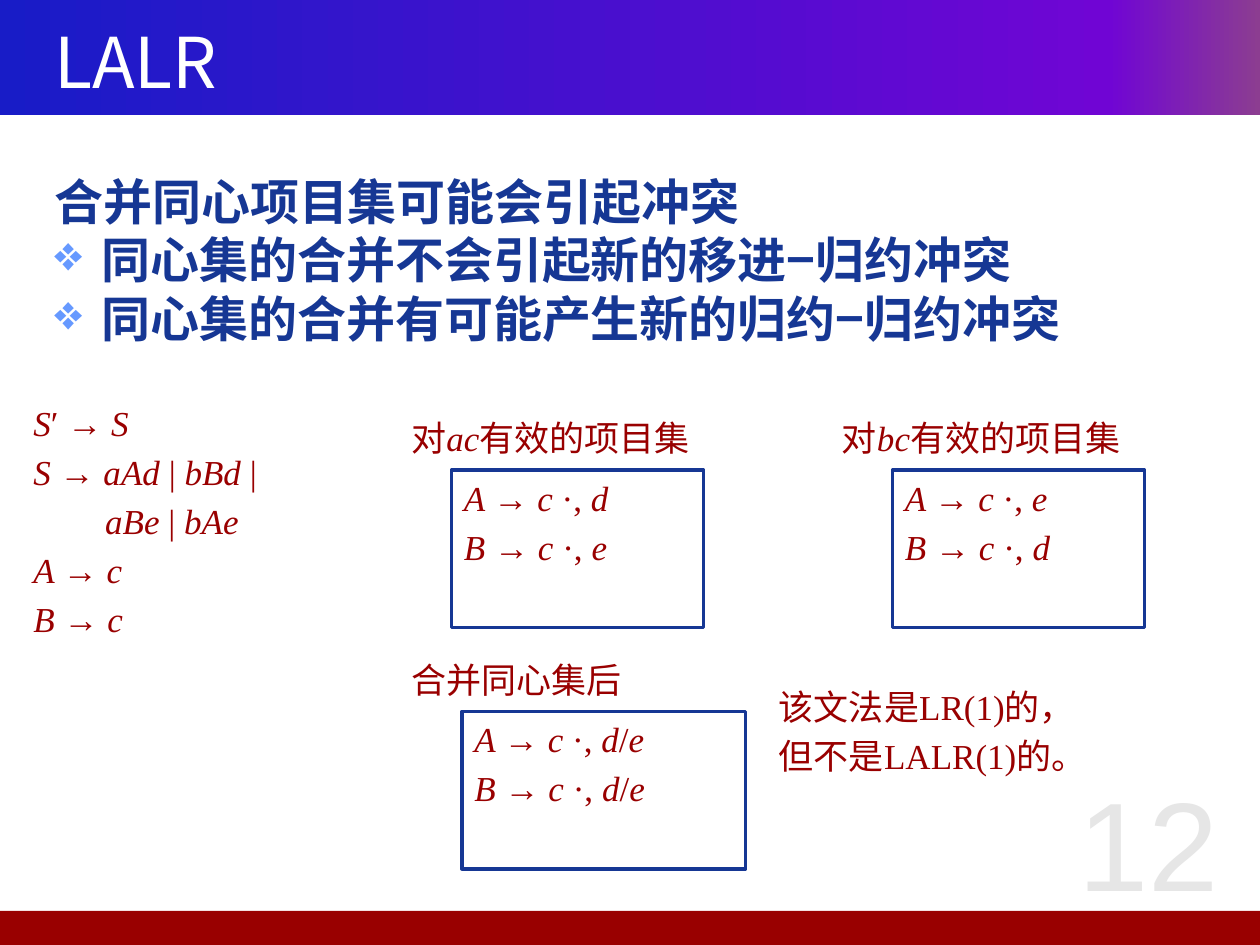
from copy import deepcopy
from dataclasses import dataclass
from typing import Optional

from lxml import etree
from pptx import Presentation
from pptx import util as u
from pptx.dml.color import RGBColor
from pptx.enum import shapes, text
from pptx.oxml import ns

WHITE = RGBColor(0xFF, 0xFF, 0xFF)
NAVY = RGBColor(0x16, 0x37, 0x94)
RED = RGBColor(0x99, 0x00, 0x00)
GREY = RGBColor(0xE6, 0xE6, 0xE6)
BANNER_STOPS = [
    (0, RGBColor(0x18, 0x1C, 0xC7)),
    (0.88, RGBColor(0x70, 0x05, 0xD4)),
    (1, RGBColor(0x8C, 0x3D, 0x91)),
]
BULLET_COLOR = "6699FF"

SANS_CJK = "Noto Sans CJK SC"
SERIF = "Times New Roman"
MONO = "Courier New"
ARIAL = "Arial"


@dataclass(frozen=True)
class Area:
    left: float
    top: float
    width: float
    height: float

    def lengths(self) -> list[u.Pt]:
        return [u.Pt(v) for v in (self.left, self.top, self.width, self.height)]


@dataclass(frozen=True)
class Run:
    words: str
    font: str = SERIF
    italic: bool = False


@dataclass(frozen=True)
class Style:
    size: float
    color: RGBColor
    bold: bool = False
    line: Optional[float] = None
    before: float = 0
    align: text.PP_ALIGN = text.PP_ALIGN.LEFT
    anchor: text.MSO_ANCHOR = text.MSO_ANCHOR.TOP


@dataclass(frozen=True)
class ItemSet:
    label: list[Run]
    label_area: Area
    items: list[list[Run]]
    box_area: Area


TITLE = Style(40, WHITE, anchor=text.MSO_ANCHOR.MIDDLE)
BODY = Style(28, NAVY, bold=True, line=33.4)
NUMBER = Style(72, GREY, align=text.PP_ALIGN.CENTER)
NOTE = Style(20, RED, line=24, before=4)
GRAMMAR = Style(20, RED, line=24, before=4, align=text.PP_ALIGN.JUSTIFY)
LABEL = Style(20, RED, line=24, anchor=text.MSO_ANCHOR.MIDDLE)


def production(*parts: str) -> list[Run]:
    """Alternate italic symbols with upright operators."""
    return [Run(part, italic=i % 2 == 0) for i, part in enumerate(parts)]


def item(head: str, *lookahead: str) -> list[Run]:
    """An LR(1) item with its dot at the end."""
    return production(f"{head} ", "→ ", "c ", "·, ", *lookahead)


def valid_for(prefix: str) -> list[Run]:
    return [Run("对", MONO), Run(prefix, italic=True), Run("有效的项目集", ARIAL)]


GRAMMAR_LINES = [
    production("S", "′ →", " S"),
    production("S ", "→", " aAd ", "|", " bBd ", "|"),
    production("\t aBe", " |", " bAe"),
    production("A ", "→", " c "),
    production("B ", "→", " c"),
]
ITEM_SETS = [
    ItemSet(valid_for("ac"), Area(228, 226, 234, 48),
            [item("A", "d"), item("B", "e")], Area(258, 268.5, 144, 90)),
    ItemSet(valid_for("bc"), Area(474, 226, 234, 48),
            [item("A", "e"), item("B", "d")], Area(510, 268.5, 144, 90)),
    ItemSet([Run("合并同心", MONO), Run("集后", ARIAL)], Area(228, 364, 234, 48),
            [item("A", "d", "/", "e"), item("B", "d", "/", "e")],
            Area(264, 406.5, 162, 90)),
]
CONCLUSION = [
    [Run("该文法是", MONO), Run("LR(1)"), Run("的，", MONO)],
    [Run("但不是", MONO), Run("LALR(1)"), Run("的。", MONO)],
]
STATEMENTS = [
    "合并同心项目集可能会引起冲突",
    "同心集的合并不会引起新的移进−归约冲突",
    "同心集的合并有可能产生新的归约−归约冲突",
]


def write(shape, lines: list[list[Run]], style: Style) -> None:
    frame = shape.text_frame
    frame.word_wrap = True
    frame.vertical_anchor = style.anchor
    for index, line in enumerate(lines):
        paragraph = frame.paragraphs[0] if index == 0 else frame.add_paragraph()
        paragraph.alignment = style.align
        if style.line:
            paragraph.line_spacing = u.Pt(style.line)
        paragraph.space_before = u.Pt(style.before if index else 0)
        for part in line:
            run = paragraph.add_run()
            run.text = part.words
            run.font.size = u.Pt(style.size)
            run.font.bold = style.bold
            run.font.italic = part.italic
            run.font.color.rgb = style.color
            run.font.name = part.font
            if part.font != SERIF:
                properties = run.font._element
                etree.SubElement(properties, ns.qn("a:ea"), typeface=SANS_CJK)


def add_text(slide, area: Area, lines: list[list[Run]], style: Style):
    box = slide.shapes.add_textbox(*area.lengths())
    write(box, lines, style)
    return box


def add_rectangle(slide, area: Area):
    shape = slide.shapes.add_shape(shapes.MSO_SHAPE.RECTANGLE, *area.lengths())
    shape.shadow.inherit = False
    return shape


def add_banner(slide) -> None:
    banner = add_rectangle(slide, Area(0, 0, 720, 65.5))
    banner.line.fill.background()
    banner.fill.gradient()
    banner.fill.gradient_angle = 0
    stop_list = next(banner._element.iter(ns.qn("a:gsLst")))
    stop_list.append(deepcopy(stop_list[0]))
    for stop, (position, color) in zip(banner.fill.gradient_stops, BANNER_STOPS):
        stop.position = position
        stop.color.rgb = color


def add_footer(slide) -> None:
    footer = add_rectangle(slide, Area(-3, 520.5, 723, 19.5))
    footer.fill.solid()
    footer.fill.fore_color.rgb = RED
    footer.line.fill.background()


def add_statements(slide) -> None:
    """The heading statement, then its bulleted points, all hanging."""
    lines = [[Run(words, SANS_CJK)] for words in STATEMENTS]
    box = add_text(slide, Area(24, 94.5, 672, 126), lines, BODY)
    for index, paragraph in enumerate(box.text_frame.paragraphs):
        properties = paragraph._p.get_or_add_pPr()
        properties.set("marL", str(u.Pt(27)))
        properties.set("indent", str(-u.Pt(27)))
        if index:
            color = etree.SubElement(properties, ns.qn("a:buClr"))
            etree.SubElement(color, ns.qn("a:srgbClr"), val=BULLET_COLOR)
            etree.SubElement(properties, ns.qn("a:buChar"), char="❖")


def add_item_set(slide, item_set: ItemSet) -> None:
    add_text(slide, item_set.label_area, [item_set.label], LABEL)
    box = add_rectangle(slide, item_set.box_area)
    box.fill.background()
    box.line.color.rgb = NAVY
    box.line.width = u.Pt(2)
    write(box, item_set.items, NOTE)


def main() -> None:
    presentation = Presentation()
    presentation.slide_width, presentation.slide_height = u.Pt(720), u.Pt(540)
    slide = presentation.slides.add_slide(presentation.slide_layouts[6])
    add_banner(slide)
    add_footer(slide)
    add_text(slide, Area(592.5, 434, 127.5, 102), [[Run("12", ARIAL)]], NUMBER)
    add_text(slide, Area(24, 12, 666, 45), [[Run("LALR", SANS_CJK)]], TITLE)
    add_statements(slide)
    add_text(slide, Area(12, 226, 228, 222), GRAMMAR_LINES, GRAMMAR)
    for item_set in ITEM_SETS:
        add_item_set(slide, item_set)
    add_text(slide, Area(438, 388, 258, 90), CONCLUSION, NOTE)
    presentation.save("out.pptx")


if __name__ == "__main__":
    main()
